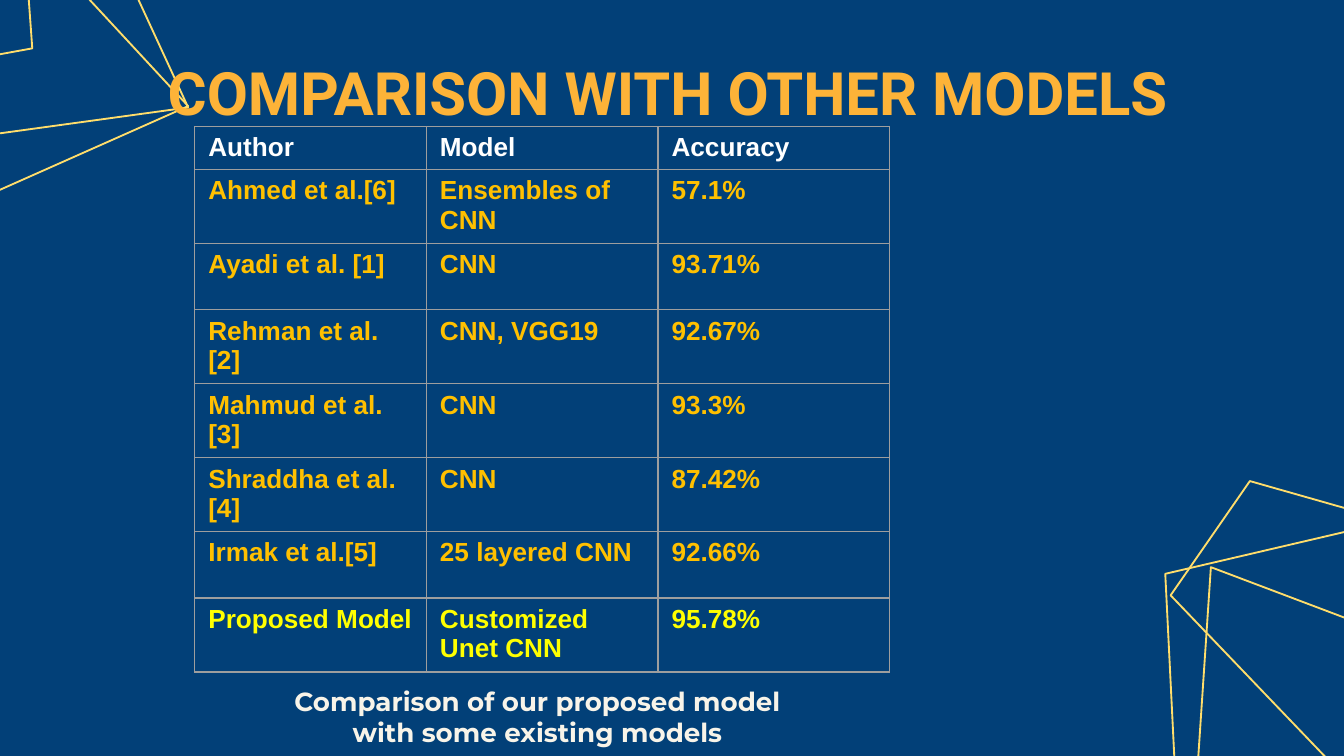
from lxml import etree
from pptx import Presentation
from pptx.dml.color import RGBColor
from pptx.enum.text import MSO_ANCHOR, MSO_AUTO_SIZE, PP_ALIGN
from pptx.util import Inches, Pt

CENTER = PP_ALIGN.CENTER
MIDDLE = MSO_ANCHOR.MIDDLE
TOP = MSO_ANCHOR.TOP
NO_FIT = MSO_AUTO_SIZE.NONE
NAVY = RGBColor(0x02, 0x40, 0x78)
GOLD = RGBColor(0xFF, 0xDD, 0x6B)
AMBER = RGBColor(0xFD, 0xB3, 0x38)
CREAM = RGBColor(0xF8, 0xF4, 0xE9)
WHITE = RGBColor(0xFF, 0xFF, 0xFF)
ORANGE = RGBColor(0xFF, 0xC0, 0x00)
YELLOW = RGBColor(0xFF, 0xFF, 0x00)
GREY = RGBColor(0x9E, 0x9E, 0x9E)
NS = "http://schemas.openxmlformats.org/drawingml/2006/main"

deck = Presentation()
deck.slide_width = Inches(10)
deck.slide_height = Inches(5.625)
UNIT = deck.slide_width / 100
slide = deck.slides.add_slide(deck.slide_layouts[5])
slide.background.fill.solid()
slide.background.fill.fore_color.rgb = NAVY


def grid(*spans):
    return [round(span * UNIT) for span in spans]


def write(frame, text, size, face, color, **form):
    frame.text = text
    para = frame.paragraphs[0]
    for name, value in form.items():
        setattr(para, name, value)
    font = para.runs[0].font
    looks = {"size": Pt(size), "name": face, "bold": True}
    for name, value in looks.items():
        setattr(font, name, value)
    font.color.rgb = color
    return para


webs = [
    [(90.1, 42.2), (88.3, 69.3), (121.6, 64.7), (115.5, 51.8)],
    [(-29.8, -15.4), (-28.8, -1.1), (-8.6, 5.6), (2.4, 3.6), (1.9, -3.4), (-10, -20.6)],
    [(-17.6, -14.7), (-23.4, -5.8), (-2.2, 15.1), (14, 7.9), (-3.6, -11.1)],
    [(-17.6, -14.7), (-19.5, 12.6), (14, 8), (8, -5)],
    [(86.7, 42.7), (87.4, 56.8), (107, 63.9), (117.9, 62.2), (117.6, 55.3), (106.4, 38.1)],
    [(93, 35.8), (87.1, 44.3), (107.4, 65.5), (123.6, 58.8), (106.7, 39.7)],
]
for web in webs:
    first, *rest = [grid(*point) for point in web]
    pen = slide.shapes.build_freeform(*first)
    pen.add_line_segments(rest, close=True)
    shape = pen.convert_to_shape()
    shape.shadow.inherit = False
    shape.fill.background()
    shape.line.color.rgb = GOLD
    shape.line.width = Pt(1)

note = slide.shapes.add_textbox(*grid(16.9, 50, 44.7, 6.9))
title = slide.shapes.title
slide.shapes._spTree.append(title._element)
for name, value in zip(("left", "top", "width", "height"), grid(2.2, 4.5, 95, 4.7)):
    setattr(title, name, value)
pad = Inches(0.1)
for box, anchor in ((note, TOP), (title, MIDDLE)):
    form = {
        "margin_left": pad, "margin_right": pad,
        "margin_top": pad, "margin_bottom": pad,
        "word_wrap": True, "auto_size": NO_FIT, "vertical_anchor": anchor,
    }
    for name, value in form.items():
        setattr(box.text_frame, name, value)
para = write(note.text_frame, "Comparison of our proposed model with some existing models",
             14, "Montserrat", CREAM, alignment=CENTER)
props = para._p.get_or_add_pPr()
props.set("marL", str(Inches(0.15)))
props.set("indent", "0")
write(title.text_frame, "COMPARISON WITH OTHER MODELS", 32, "Roboto", AMBER,
      alignment=CENTER, space_after=Pt(15))

rows = [
    (3.2, WHITE, "Author", "Model", "Accuracy"),
    (5.5, ORANGE, "Ahmed et al.[6]", "Ensembles of CNN", "57.1%"),
    (4.95, ORANGE, "Ayadi et al. [1]", "CNN", "93.71%"),
    (5.5, ORANGE, "Rehman et al. [2]", "CNN, VGG19", "92.67%"),
    (5.5, ORANGE, "Mahmud et al. [3]", "CNN", "93.3%"),
    (5.5, ORANGE, "Shraddha et al. [4]", "CNN", "87.42%"),
    (4.95, ORANGE, "Irmak et al.[5]", "25 layered CNN", "92.66%"),
    (5.5, YELLOW, "Proposed Model", "Customized Unet CNN", "95.78%"),
]
tall = sum(row[0] for row in rows)
table = slide.shapes.add_table(len(rows), 3, *grid(14.5, 9.4, 51.7, tall)).table
for r, (height, color, *words) in enumerate(rows):
    table.rows[r].height = grid(height)[0]
    for c, word in enumerate(words):
        cell = table.cell(r, c)
        write(cell.text_frame, word, 14, "Arial", color)
        props = cell._tc.get_or_add_tcPr()
        for side in ("lnL", "lnR", "lnT", "lnB"):
            edge = etree.SubElement(props, f"{{{NS}}}{side}", w=str(Pt(0.75)))
            paint = etree.SubElement(edge, f"{{{NS}}}solidFill")
            etree.SubElement(paint, f"{{{NS}}}srgbClr", val=str(GREY))
        cell.fill.background()

deck.save("out.pptx")
